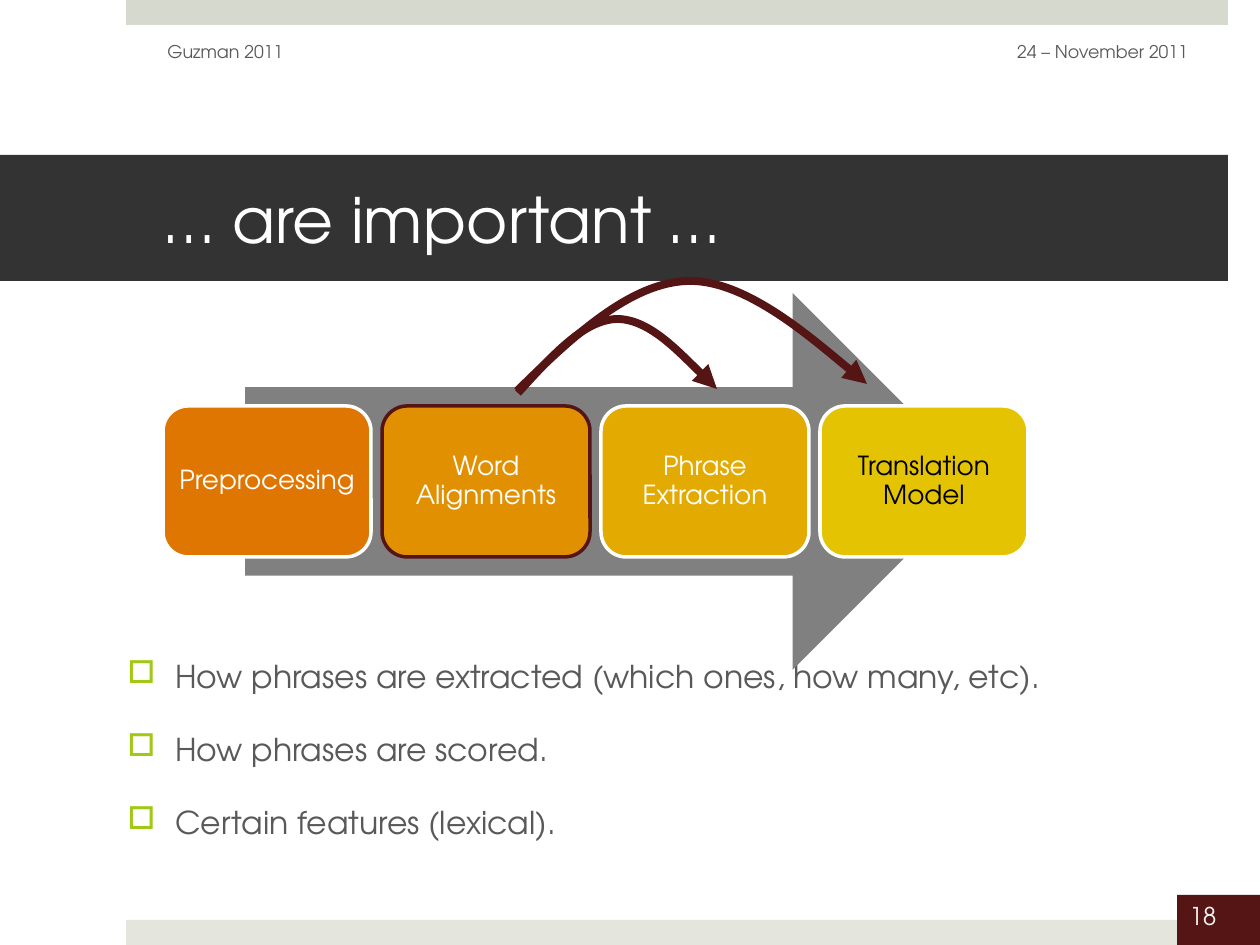
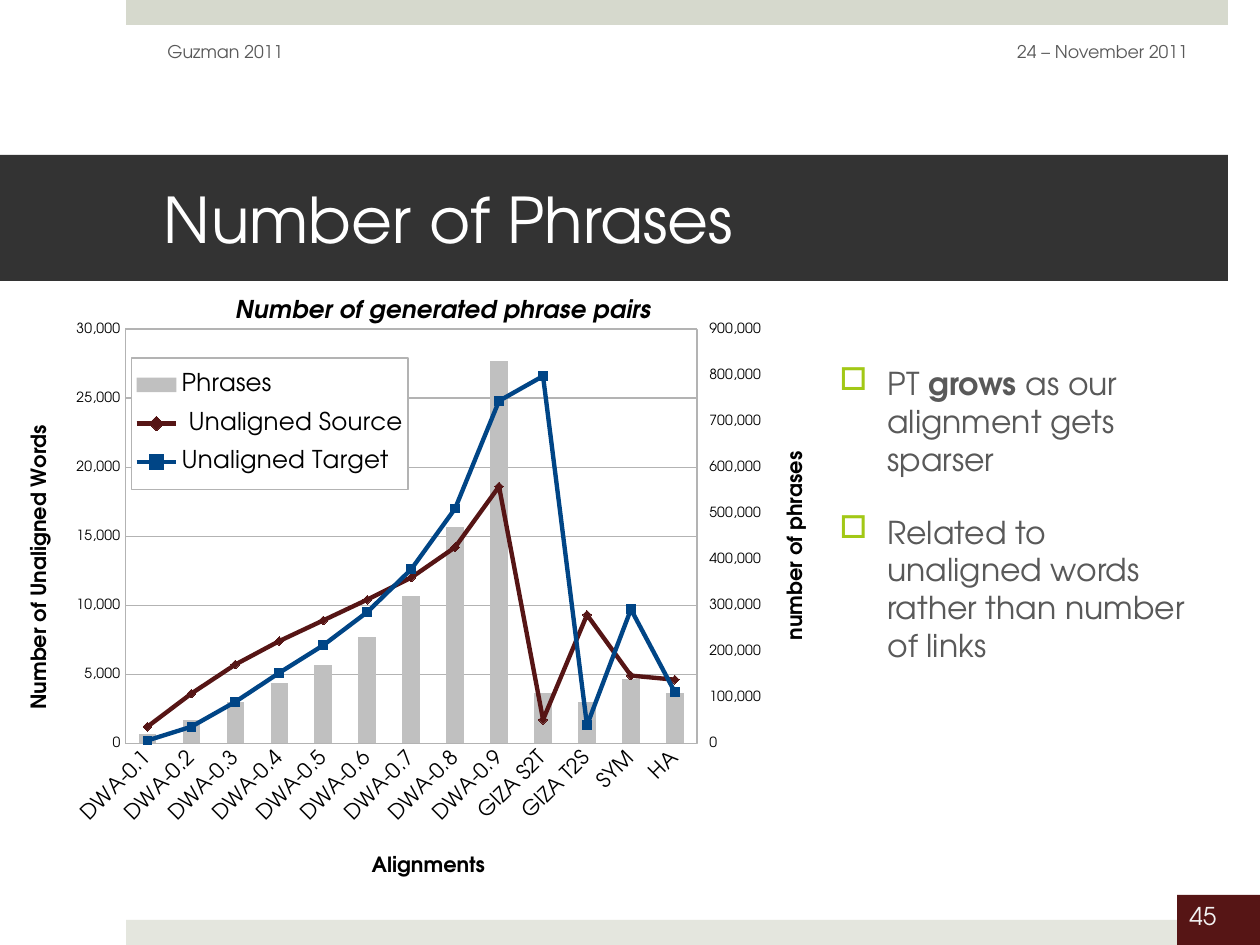
"""Builds two slides on word alignments: a process diagram and a combined chart."""
import copy
from dataclasses import dataclass
from lxml import etree
from pptx import Presentation
from pptx import util as u
from pptx.chart import axis as ax
from pptx.chart.data import CategoryChartData
from pptx.dml.color import RGBColor
from pptx.enum import chart as ch, shapes, text
from pptx.oxml import ns, parse_xml

SCALE = 914400 / 126


@dataclass(frozen=True)
class Theme:
    font: str = "TeX Gyre Adventor"
    bullet_font: str = "OpenSymbol"
    title: int = 36
    body: int = 18
    step: int = 15
    number: int = 14
    chart_title: int = 14
    axis_title: int = 12
    legend: int = 14
    category: int = 12
    value: int = 8
    small: int = 10
    white: str = "FFFFFF"
    black: str = "000000"
    ink: str = "595959"
    dark: str = "333333"
    maroon: str = "561515"
    blue: str = "004586"
    bullet: str = "A2C816"
    gray: str = "808080"
    bar: str = "C0C0C0"
    rule: str = "B3B3B3"
    pale: str = "F2F2F2"
    top_band: str = "D6D9CD"
    bottom_band: str = "E4E6DE"


T = Theme()
AUTHOR, DATE = "Guzman 2011", "24 – November 2011"

FLOW = {
    "title": "… are important …",
    "number": "18",
    "steps": [
        ("Preprocessing", "E07602", T.white, T.white),
        ("Word Alignments", "E19002", T.maroon, T.white),
        ("Phrase Extraction", "E3AA02", T.white, T.white),
        ("Translation Model", "E4C402", T.white, T.black),
    ],
    "curves": [
        [(518, 393), (551, 357), (583, 320), (617, 319), (650, 319), (717, 389), (717, 389)],
        [(517, 391), (573, 336), (631, 282), (689, 281), (748, 280), (867, 384), (867, 384)],
    ],
    "bullets": [
        "How phrases are extracted (which ones, how many, etc).",
        "How phrases are scored.",
        "Certain features (lexical).",
    ],
}
PHRASES = {
    "title": "Number of Phrases",
    "number": "45",
    "chart_title": "Number of generated phrase pairs",
    "cats": [f"DWA-0.{i}" for i in range(1, 10)] + ["GIZA S2T", "GIZA T2S", "SYM", "HA"],
    "bars": ("Phrases", [20000, 50000, 90000, 130000, 170000, 230000, 320000, 470000,
                         830000, 110000, 90000, 140000, 110000]),
    "lines": [
        (" Unaligned Source", T.maroon, ch.XL_MARKER_STYLE.DIAMOND,
         [1200, 3600, 5700, 7400, 8900, 10400, 12000, 14200, 18600, 1700, 9300, 4900, 4600]),
        ("Unaligned Target", T.blue, ch.XL_MARKER_STYLE.SQUARE,
         [200, 1200, 3000, 5100, 7100, 9500, 12600, 17000, 24800, 26600, 1300, 9700, 3700]),
    ],
    "bullets": [
        [("PT ", False), ("grows", True), (" as our alignment gets sparser", False)],
        "Related to unaligned words rather than number of links",
    ],
}


def px(n):
    return u.Emu(round(n * SCALE))


def rgb(color):
    return RGBColor.from_string(color)


def write(tf, paragraphs, size, color, bold=False, italic=False, align=None,
          anchor=None, insets=None, bullet=False, spacing=None):
    if anchor is not None:
        tf.vertical_anchor = anchor
    if insets:
        tf.margin_left, tf.margin_top, tf.margin_right, tf.margin_bottom = map(px, insets)
    if isinstance(paragraphs, str):
        paragraphs = [paragraphs]
    for i, runs in enumerate(paragraphs):
        p = tf.add_paragraph() if i else tf.paragraphs[0]
        if bullet:
            add_bullet(p)
            if i:
                p.space_before = u.Pt(20)
        if align is not None:
            p.alignment = align
        if spacing:
            p.line_spacing = spacing
        for words, strong in [(runs, bold)] if isinstance(runs, str) else runs:
            r = p.add_run()
            r.text = words
            set_font(r.font, size, color, strong, italic)


def set_font(font, size, color=T.black, bold=False, italic=False):
    font.name, font.size, font.bold, font.italic = T.font, u.Pt(size), bold, italic
    font.color.rgb = rgb(color)


def add_bullet(p):
    pPr = p._p.get_or_add_pPr()
    pPr.set("marL", str(px(48)))
    pPr.set("indent", str(px(-48)))
    clr = etree.SubElement(pPr, ns.qn("a:buClr"))
    etree.SubElement(clr, ns.qn("a:srgbClr"), val=T.bullet)
    etree.SubElement(pPr, ns.qn("a:buFont"), typeface=T.bullet_font)
    etree.SubElement(pPr, ns.qn("a:buChar"), char="□")


def add_shape(s, kind, box, fill, line=None):
    sp = s.shapes.add_shape(kind, *map(px, box))
    sp.shadow.inherit = False
    sp.fill.solid()
    sp.fill.fore_color.rgb = rgb(fill)
    if line:
        set_line(sp.line, line, 2)
    else:
        sp.line.fill.background()
    sp.text_frame.word_wrap = True
    return sp


def set_line(line, color, width):
    line.color.rgb = rgb(color)
    line.width = u.Pt(width)


def add_text(s, box, paragraphs, size, **fmt):
    tf = s.shapes.add_textbox(*map(px, box)).text_frame
    tf.word_wrap = True
    write(tf, paragraphs, size, T.ink, **fmt)


def add_frame(prs, content):
    s = prs.slides.add_slide(prs.slide_layouts[6])
    rect, left, middle = shapes.MSO_SHAPE.RECTANGLE, text.PP_ALIGN.LEFT, text.MSO_ANCHOR.MIDDLE
    add_shape(s, rect, (126, 0, 1102, 25), T.top_band)
    add_shape(s, rect, (126, 920, 1102, 25), T.bottom_band)
    number = add_shape(s, rect, (1177, 895, 83, 50), T.maroon)
    write(number.text_frame, content["number"], T.number, T.pale, align=left,
          anchor=text.MSO_ANCHOR.TOP)
    title = add_shape(s, rect, (0, 155, 1228, 126), T.dark)
    write(title.text_frame, content["title"], T.title, T.white, align=left, anchor=middle,
          insets=(164, 6, 38, 6))
    add_text(s, (906, 27, 294, 50), DATE, T.small, align=text.PP_ALIGN.RIGHT, anchor=middle)
    add_text(s, (155, 27, 399, 50), AUTHOR, T.small, anchor=middle)
    return s


def add_curve(s, points):
    fb = s.shapes.build_freeform(*points[0], scale=SCALE)
    fb.add_line_segments(points[1:], close=False)
    sp = fb.convert_to_shape()
    sp.shadow.inherit = False
    sp.fill.background()
    set_line(sp.line, T.maroon, 4.5)
    path = sp.element.xpath(".//a:path")[0]
    segments = path.findall(ns.qn("a:lnTo"))
    for i in range(0, len(segments), 3):
        cubic = etree.SubElement(path, ns.qn("a:cubicBezTo"))
        for segment in segments[i:i + 3]:
            cubic.append(segment[0])
            path.remove(segment)
    etree.SubElement(sp.line._get_or_add_ln(), ns.qn("a:tailEnd"), type="triangle")


def add_flow_slide(prs):
    s = add_frame(prs, FLOW)
    add_text(s, (115, 651, 1081, 282), FLOW["bullets"], T.body, bullet=True)
    add_shape(s, shapes.MSO_SHAPE.RIGHT_ARROW, (245, 293, 736, 377), T.gray)
    for i, (label, fill, line, color) in enumerate(FLOW["steps"]):
        sp = add_shape(s, shapes.MSO_SHAPE.ROUNDED_RECTANGLE, (163 + 219 * i, 406, 208, 151),
                       fill, line)
        write(sp.text_frame, label, T.step, color, align=text.PP_ALIGN.CENTER,
              anchor=text.MSO_ANCHOR.MIDDLE, insets=(8, 8, 8, 8), spacing=0.9)
    for points in FLOW["curves"]:
        add_curve(s, points)


def place(el, index, **fractions):
    for old in el.findall(ns.qn("c:layout")):
        el.remove(old)
    layout = etree.Element(ns.qn("c:layout"))
    manual = etree.SubElement(layout, ns.qn("c:manualLayout"))
    if el.tag == ns.qn("c:plotArea"):
        etree.SubElement(manual, ns.qn("c:layoutTarget"), val="inner")
    for side in "xy":
        etree.SubElement(manual, ns.qn(f"c:{side}Mode"), val="edge")
    for side, value in fractions.items():
        etree.SubElement(manual, ns.qn(f"c:{side}"), val=str(value))
    el.insert(index, layout)


def frame_properties(fill):
    return parse_xml(
        f'<c:spPr {ns.nsdecls("c", "a")}>{fill}<a:ln w="9525"><a:solidFill>'
        f'<a:srgbClr val="{T.rule}"/></a:solidFill></a:ln></c:spPr>')


def set_title(title, words, size, x, y, italic=False, upright=False):
    write(title.text_frame, words, size, T.black, bold=True, italic=italic)
    if upright:
        body = title.element.xpath(".//a:bodyPr")[0]
        body.set("rot", "-5400000")
        body.set("vert", "horz")
    place(title.element, 1, x=x, y=y)


def set_axis(axis, words, top, step, x, y):
    axis.minimum_scale, axis.maximum_scale, axis.major_unit = 0, top, step
    set_title(axis.axis_title, words, T.axis_title, x, y, upright=True)


def style_axis(axis, size):
    axis.major_tick_mark = axis.minor_tick_mark = ch.XL_TICK_MARK.NONE
    set_font(axis.tick_labels.font, size)
    set_line(axis.format.line, T.rule, 0.75)


def move_to_bars(chart, plot_area):
    ser = plot_area.xpath("./c:lineChart/c:ser")[0]
    for tag in ("c:marker", "c:smooth"):
        for el in ser.findall(ns.qn(tag)):
            ser.remove(el)
    bars = parse_xml(
        f'<c:barChart {ns.nsdecls("c")}><c:barDir val="col"/><c:grouping val="clustered"/>'
        '<c:varyColors val="0"/><c:gapWidth val="150"/><c:axId val="101"/><c:axId val="102"/>'
        "</c:barChart>")
    bars.insert(3, ser)
    plot_area.find(ns.qn("c:lineChart")).addprevious(bars)
    cat, val = chart.category_axis._element, chart.value_axis._element
    cat2, val2 = copy.deepcopy(cat), copy.deepcopy(val)
    val.addnext(cat2)
    cat2.addnext(val2)
    for el, own, other in ((cat2, "101", "102"), (val2, "102", "101")):
        el.find(ns.qn("c:axId")).set("val", own)
        el.find(ns.qn("c:crossAx")).set("val", other)
    val2.find(ns.qn("c:axPos")).set("val", "r")
    bar_cats, bar_values = ax.CategoryAxis(cat2), ax.ValueAxis(val2)
    bar_cats.visible = False
    bar_cats.crosses = ch.XL_AXIS_CROSSES.MAXIMUM
    bar_values.tick_label_position = ch.XL_TICK_LABEL_POSITION.HIGH
    bar_values.has_major_gridlines = False
    return bar_values


def add_phrase_chart(s):
    data = CategoryChartData(number_format="#,##0")
    data.categories = PHRASES["cats"]
    data.add_series(*PHRASES["bars"])
    for name, _, _, values in PHRASES["lines"]:
        data.add_series(name, values)
    chart = s.shapes.add_chart(ch.XL_CHART_TYPE.LINE_MARKERS, *map(px, (24, 281, 805, 602)),
                               data).chart
    set_font(chart.font, T.small)
    plot = chart.plots[0]
    plot.vary_by_categories = False
    bars, *lines = plot.series
    bars.format.fill.solid()
    bars.format.fill.fore_color.rgb = rgb(T.bar)
    for ser, (_, color, marker, _) in zip(lines, PHRASES["lines"]):
        ser.smooth = False
        set_line(ser.format.line, color, 2.5)
        ser.marker.style, ser.marker.size = marker, 5
        ser.marker.format.fill.solid()
        ser.marker.format.fill.fore_color.rgb = rgb(color)
        set_line(ser.marker.format.line, color, 0.75)

    cats, words = chart.category_axis, chart.value_axis
    style_axis(cats, T.category)
    cats._element.xpath("./c:txPr/a:bodyPr")[0].set("rot", "-2700000")
    style_axis(words, T.value)
    words.tick_labels.number_format = "#,##0"
    words.tick_labels.number_format_is_linked = False
    words.has_major_gridlines = True
    set_line(words.major_gridlines.format.line, T.rule, 0.75)
    plot_area = chart.element.xpath(".//c:plotArea")[0]
    phrases = move_to_bars(chart, plot_area)
    set_axis(words, "Number of Unaligned Words", 30000, 5000, 0, 0.233)
    set_axis(phrases, "number of phrases", 900000, 100000, 0.94, 0.277)
    set_title(cats.axis_title, "Alignments", T.axis_title, 0.427, 0.945)
    set_title(chart.chart_title, PHRASES["chart_title"], T.chart_title, 0.257, 0.02, italic=True)
    place(plot_area, 0, x=0.126, y=0.08, w=0.71, h=0.688)
    plot_area.append(frame_properties("<a:noFill/>"))

    chart.has_legend = True
    chart.legend.position = ch.XL_LEGEND_POSITION.RIGHT
    chart.legend.include_in_layout = False
    set_font(chart.legend.font, T.legend)
    legend = chart.element.xpath(".//c:legend")[0]
    place(legend, 1, x=0.134, y=0.128, w=0.343, h=0.218)
    legend.find(ns.qn("c:txPr")).addprevious(frame_properties(
        f'<a:solidFill><a:srgbClr val="{T.white}"/></a:solidFill>'))


def main():
    prs = Presentation()
    prs.slide_width, prs.slide_height = px(1260), px(945)
    add_flow_slide(prs)
    s = add_frame(prs, PHRASES)
    add_phrase_chart(s)
    add_text(s, (827, 358, 373, 508), PHRASES["bullets"], T.body, bullet=True)
    prs.save("out.pptx")


if __name__ == "__main__":
    main()
